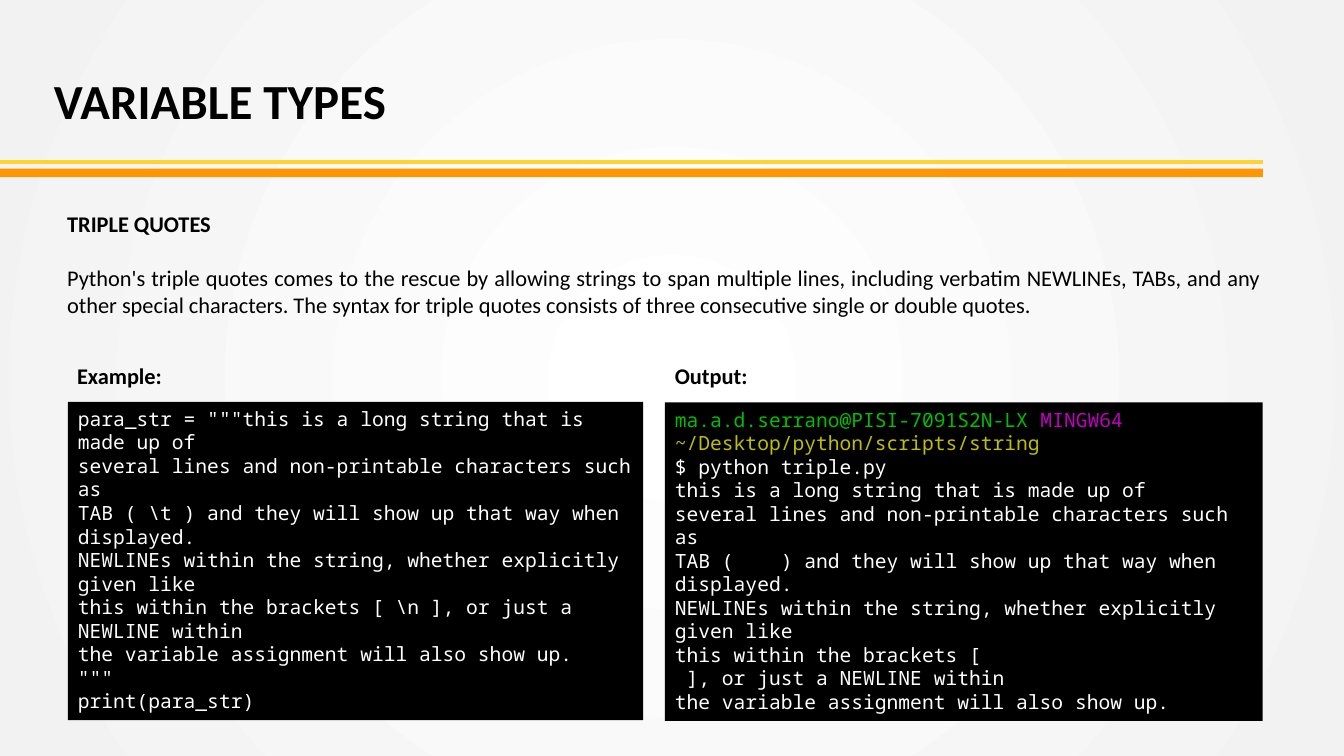
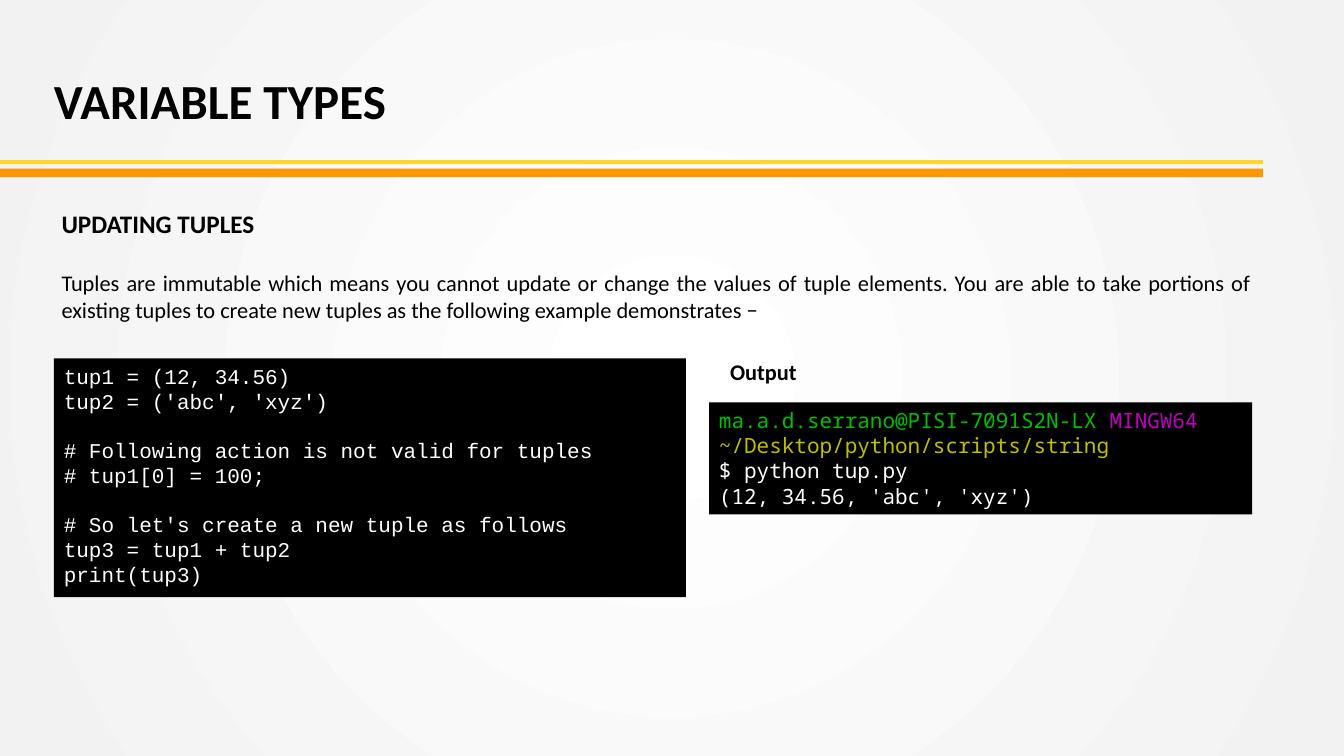
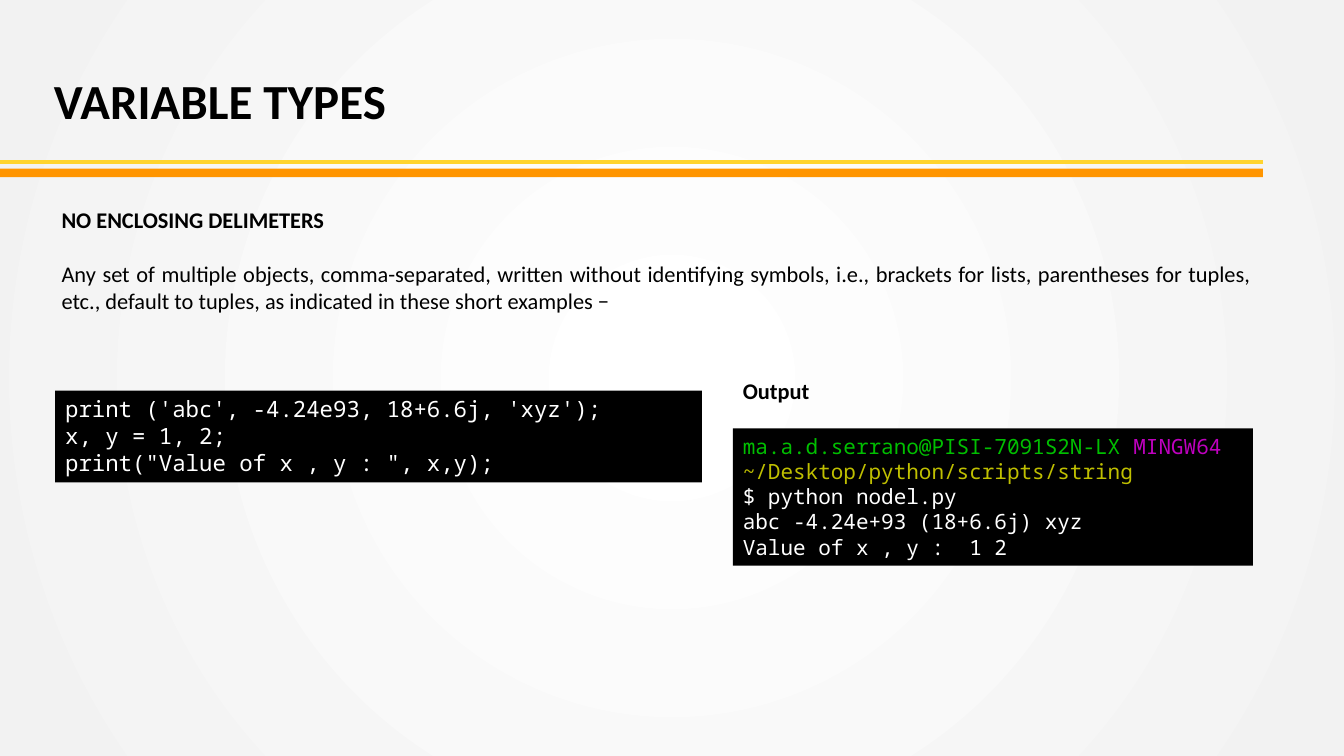
"""Build three slides on Python variable types: prose, code and console output."""
import dataclasses

import pptx
import pptx.dml.color
import pptx.enum.shapes
import pptx.enum.text
import pptx.oxml
import pptx.oxml.ns
import pptx.util
from lxml import etree

Pt = pptx.util.Pt
RGB = pptx.dml.color.RGBColor.from_string
ALIGN = pptx.enum.text.PP_ALIGN
RECTANGLE = pptx.enum.shapes.MSO_SHAPE.RECTANGLE


@dataclasses.dataclass(frozen=True)
class Theme:
    centre: str = "FFFFFF"
    edge: str = "F2F2F2"
    thin_rule: str = "FFD42E"
    band: str = "FF9500"
    ink: str = "000000"
    console: str = "000000"
    console_text: str = "FFFFFF"
    user: str = "00BF00"
    system: str = "BF00BF"
    folder: str = "BFBF00"
    sans: str = "Calibri"
    mono: str = "Noto Sans Mono"
    courier: str = "Courier New"
    title_size: int = 35
    body_size: int = 16
    sans_leading: float = 1.22
    mono_leading: float = 1.13


THEME = Theme()
TITLE = "VARIABLE TYPES"
PROMPT = [
    ("ma.a.d.serrano@PISI-7091S2N-LX ", THEME.user),
    ("MINGW64 ", THEME.system),
    ("~/Desktop/python/scripts/string", THEME.folder),
]

SLIDES = [
    {
        "heading": ("TRIPLE QUOTES", 16),
        "prose": "Python's triple quotes comes to the rescue by allowing strings to span multiple lines, "
                 "including verbatim NEWLINEs, TABs, and any other special characters. The syntax for triple "
                 "quotes consists of three consecutive single or double quotes.",
        "prose_at": (48, 150, 853, 101),
        "labels": [("Example:", (48, 255, 405, 27)), ("Output:", (475, 255, 405, 27))],
        "code": [
            'para_str = """this is a long string that is made up of',
            "several lines and non-printable characters such as",
            "TAB ( \\t ) and they will show up that way when displayed.",
            "NEWLINEs within the string, whether explicitly given like",
            "this within the brackets [ \\n ], or just a NEWLINE within",
            "the variable assignment will also show up.",
            '"""',
            "print(para_str)",
        ],
        "code_at": (48.5, 287, 411, 227.5),
        "code_font": (THEME.mono, 14),
        "output": [
            "$ python triple.py",
            "this is a long string that is made up of",
            "several lines and non-printable characters such as",
            "TAB (    ) and they will show up that way when displayed.",
            "NEWLINEs within the string, whether explicitly given like",
            "this within the brackets [",
            " ], or just a NEWLINE within",
            "the variable assignment will also show up.",
        ],
        "output_at": (475, 287.5, 427, 227.5),
        "output_size": 14,
    },
    {
        "heading": ("UPDATING TUPLES", 18),
        "prose": "Tuples are immutable which means you cannot update or change the values of tuple elements. "
                 "You are able to take portions of existing tuples to create new tuples as the following "
                 "example demonstrates −",
        "prose_at": (44, 148.5, 850, 86),
        "labels": [("Output", (514.5, 252, 72, 27))],
        "code": [
            "tup1 = (12, 34.56)",
            "tup2 = ('abc', 'xyz')",
            "",
            "# Following action is not valid for tuples",
            "# tup1[0] = 100;",
            "",
            "# So let's create a new tuple as follows",
            "tup3 = tup1 + tup2",
            "print(tup3)",
        ],
        "code_at": (38.5, 256, 451.5, 170.5),
        "code_font": (THEME.courier, 15),
        "output": ["$ python tup.py", "(12, 34.56, 'abc', 'xyz')"],
        "output_at": (506.5, 287.5, 388, 80),
        "output_size": 15,
    },
    {
        "heading": ("NO ENCLOSING DELIMETERS", 16),
        "prose": "Any set of multiple objects, comma-separated, written without identifying symbols, i.e., "
                 "brackets for lists, parentheses for tuples, etc., default to tuples, as indicated in these "
                 "short examples −",
        "prose_at": (44, 147, 850, 81),
        "labels": [("Output", (523.5, 265.5, 72, 27))],
        "code": [
            "print ('abc', -4.24e93, 18+6.6j, 'xyz');",
            "x, y = 1, 2;",
            'print("Value of x , y : ", x,y);',
        ],
        "code_at": (39.5, 279, 462, 65.5),
        "code_font": (THEME.mono, 16),
        "output": ["$ python nodel.py", "abc -4.24e+93 (18+6.6j) xyz", "Value of x , y :  1 2"],
        "output_at": (523.5, 306, 371.5, 98),
        "output_size": 15,
    },
]


def points(lengths):
    return [Pt(length) for length in lengths]


def style(paragraph, name, size, color=None, bold=False, align=ALIGN.LEFT):
    paragraph.alignment = align
    font = paragraph.font
    font.name, font.size, font.bold = name, Pt(size), bold
    if color:
        font.color.rgb = RGB(color)


def set_background(master):
    fill = master.background.fill
    fill.gradient()
    for stop, position, color in zip(fill.gradient_stops, (0.02, 1), (THEME.centre, THEME.edge)):
        stop.position = position
        stop.color.rgb = RGB(color)
    qn = pptx.oxml.ns.qn
    gradient = next(master.element.iter(qn("a:gradFill")))
    for linear in gradient.findall(qn("a:lin")):
        gradient.remove(linear)
    circle = etree.SubElement(gradient, qn("a:path"), {"path": "circle"})
    etree.SubElement(circle, qn("a:fillToRect"), dict.fromkeys("ltrb", "50000"))


def add_text_box(slide, at, inset=True):
    frame = slide.shapes.add_textbox(*points(at)).text_frame
    frame.word_wrap = True
    if not inset:
        frame.margin_left = frame.margin_top = frame.margin_right = 0
    return frame


def add_block(slide, at, color):
    block = slide.shapes.add_shape(RECTANGLE, *points(at))
    block.shadow.inherit = False
    block.fill.solid()
    block.fill.fore_color.rgb = RGB(color)
    block.line.fill.background()
    return block


def add_header(slide):
    rule = slide.shapes.add_connector(
        pptx.enum.shapes.MSO_CONNECTOR.STRAIGHT, *points((0, 116, 902, 116)))
    rule.line.color.rgb = RGB(THEME.thin_rule)
    rule.line.width = Pt(3)
    etree.SubElement(rule.element.spPr, pptx.oxml.ns.qn("a:effectLst"))
    title = add_text_box(slide, (38.5, 50.5, 567, 46), inset=False).paragraphs[0]
    title.text = TITLE
    style(title, THEME.sans, THEME.title_size, THEME.ink, bold=True)
    add_block(slide, (0, 120.5, 902, 6), THEME.band)


def add_prose(slide, content):
    frame = add_text_box(slide, content["prose_at"], inset=False)
    heading, prose = frame.paragraphs[0], frame.add_paragraph()
    heading.text, heading_size = content["heading"]
    prose.text = content["prose"]
    prose.space_before = Pt(round(heading_size * THEME.sans_leading, 1))
    style(heading, THEME.sans, heading_size, THEME.ink, bold=True, align=ALIGN.JUSTIFY)
    style(prose, THEME.sans, THEME.body_size, THEME.ink, align=ALIGN.JUSTIFY)


def add_console(slide, at, lines, name, size):
    frame = add_block(slide, at, THEME.console).text_frame
    frame.word_wrap = True
    frame.vertical_anchor = pptx.enum.text.MSO_ANCHOR.TOP
    paragraph, gap = frame.paragraphs[0], 0
    for index, line in enumerate(lines):
        if not line:
            gap += round(size * THEME.mono_leading, 1)
            continue
        if index:
            paragraph = frame.add_paragraph()
        if gap:
            paragraph.space_before = Pt(gap)
            gap = 0
        if isinstance(line, str):
            paragraph.text = line
            style(paragraph, name, size, THEME.console_text)
        else:
            style(paragraph, name, size)
            for text, color in line:
                run = paragraph.add_run()
                run.text = text
                run.font.color.rgb = RGB(color)


def add_label(slide, text, at):
    label = add_text_box(slide, at).paragraphs[0]
    label.text = text
    style(label, THEME.sans, THEME.body_size, THEME.ink, bold=True)


def main():
    deck = pptx.Presentation()
    deck.slide_width, deck.slide_height = points((960, 540))
    set_background(deck.slide_master)
    for content in SLIDES:
        slide = deck.slides.add_slide(deck.slide_layouts[6])
        add_header(slide)
        add_prose(slide, content)
        add_console(slide, content["code_at"], content["code"], *content["code_font"])
        add_console(slide, content["output_at"], [PROMPT, *content["output"]],
                    THEME.mono, content["output_size"])
        for text, at in content["labels"]:
            add_label(slide, text, at)
    deck.save("out.pptx")


if __name__ == "__main__":
    main()
